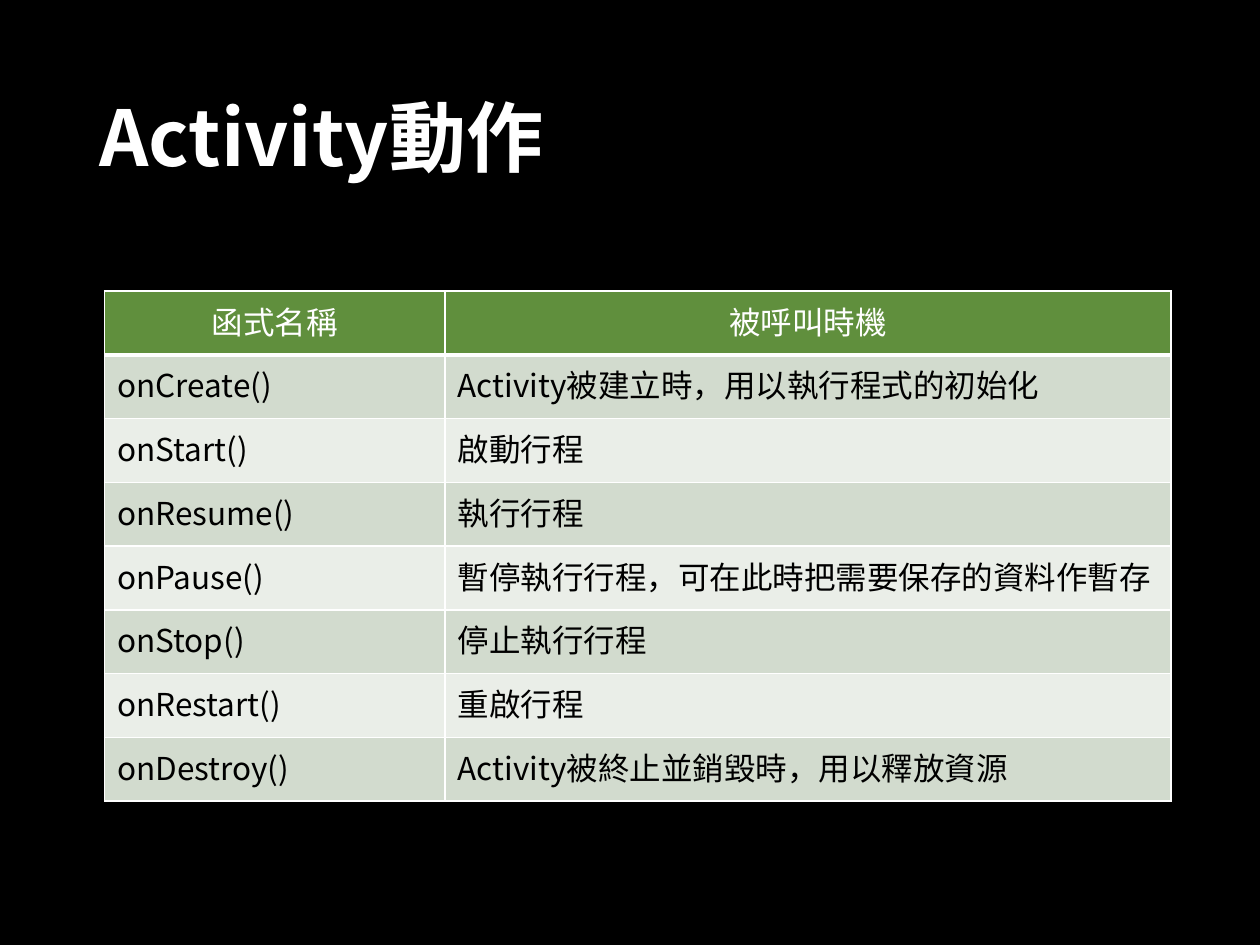
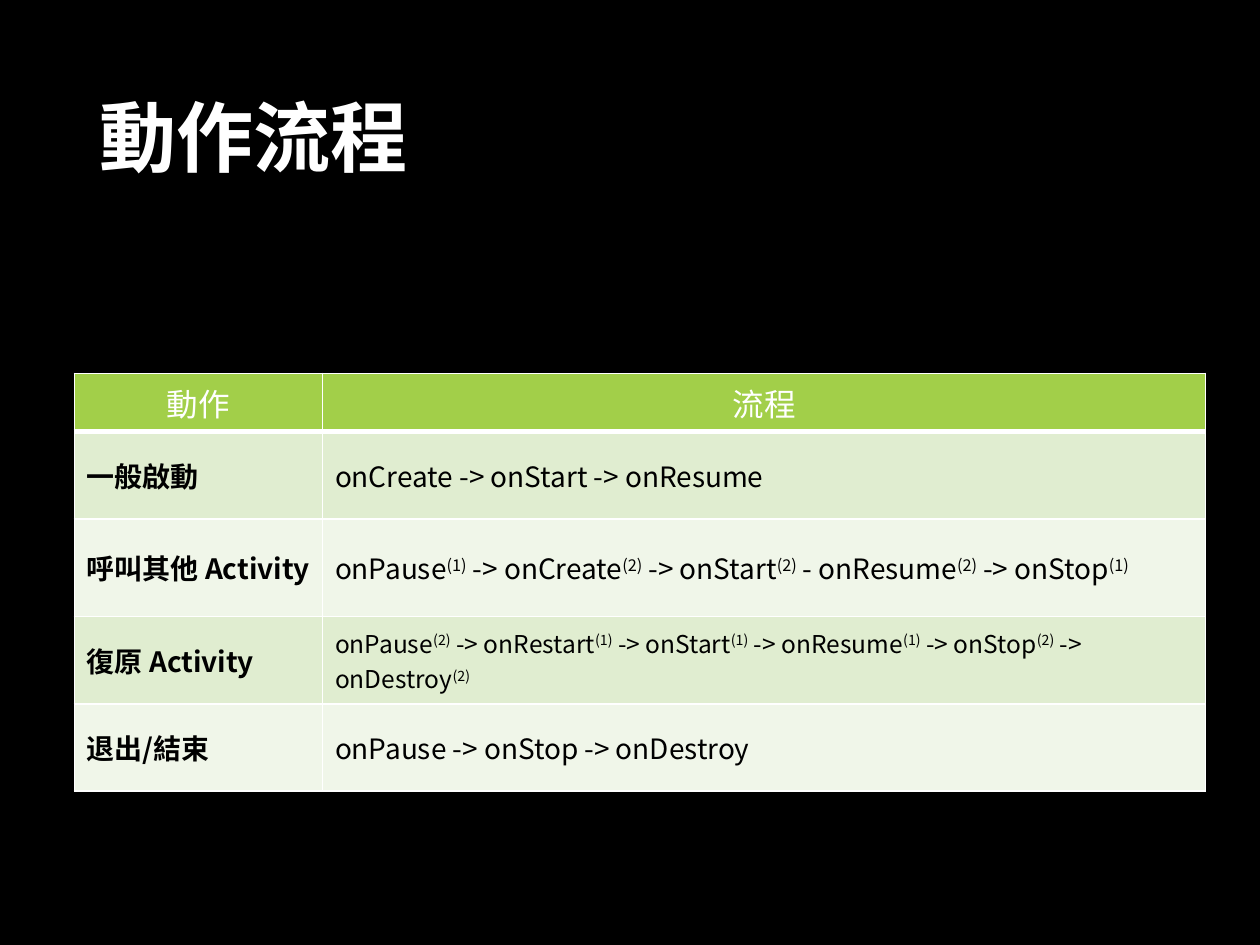
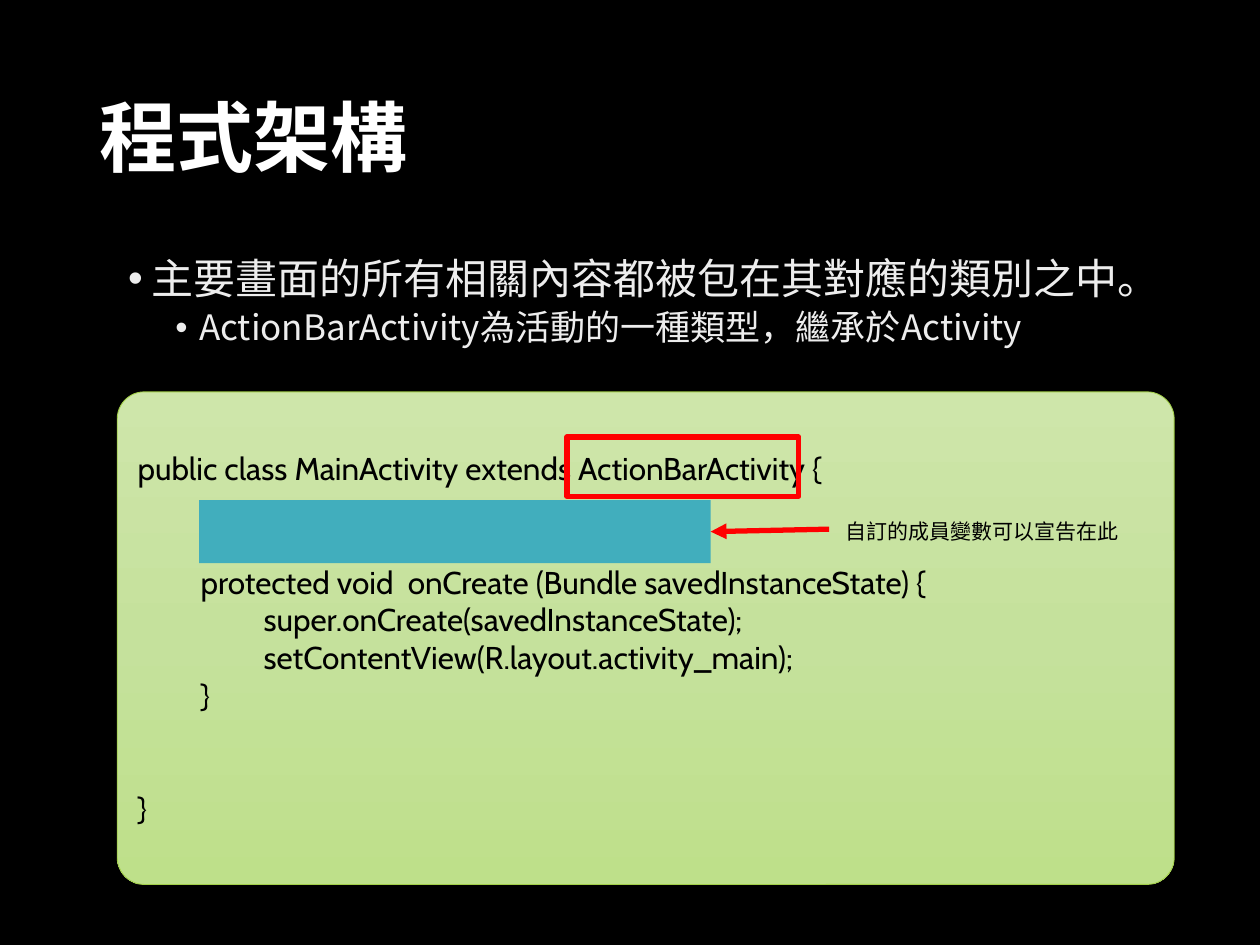
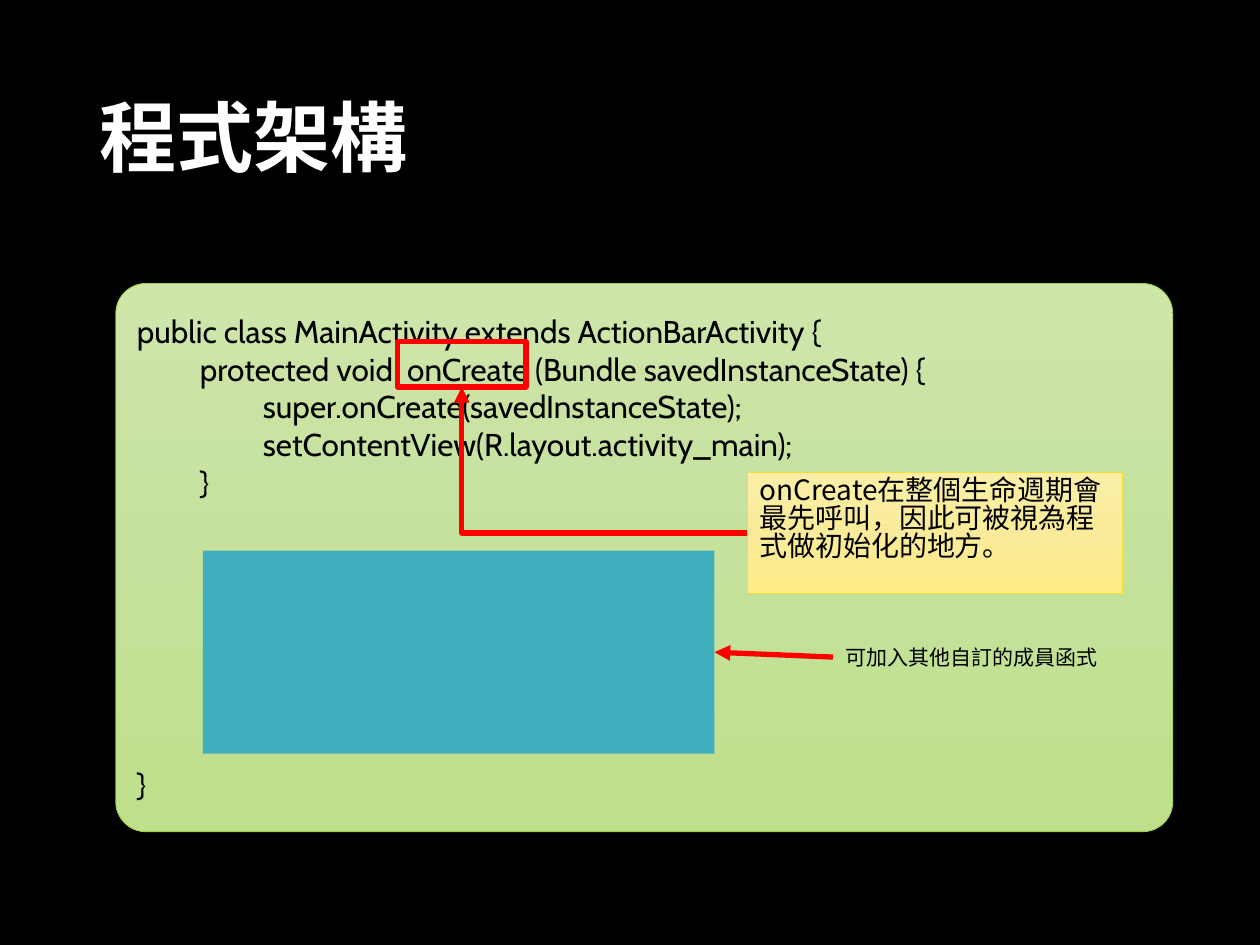
from copy import deepcopy
from dataclasses import dataclass
from typing import NamedTuple

from lxml import etree
from pptx import Presentation
from pptx.dml.color import RGBColor
from pptx.enum.shapes import MSO_CONNECTOR, MSO_SHAPE
from pptx.enum.text import MSO_ANCHOR, PP_ALIGN
from pptx.oxml.ns import qn
from pptx.shapes.autoshape import Shape
from pptx.shapes.connector import Connector
from pptx.slide import Slide
from pptx.text.text import TextFrame, _Paragraph
from pptx.util import Pt

RECTANGLE, ROUNDED = MSO_SHAPE.RECTANGLE, MSO_SHAPE.ROUNDED_RECTANGLE
STRAIGHT, ELBOW = MSO_CONNECTOR.STRAIGHT, MSO_CONNECTOR.ELBOW
TOP, MIDDLE = MSO_ANCHOR.TOP, MSO_ANCHOR.MIDDLE
LEFT, CENTER = PP_ALIGN.LEFT, PP_ALIGN.CENTER
LEFT_SIDE, BOTTOM_SIDE, RIGHT_SIDE = 1, 2, 3

BLACK = RGBColor(0x00, 0x00, 0x00)
WHITE = RGBColor(0xFF, 0xFF, 0xFF)
BODY_GREY = RGBColor(0xED, 0xED, 0xED)
RED = RGBColor(0xFF, 0x00, 0x00)
TEAL = RGBColor(0x41, 0xAE, 0xBD)
LIME = RGBColor(0xA2, 0xCF, 0x49)
LIME_BANDS = (RGBColor(0xE0, 0xED, 0xD0), RGBColor(0xF0, 0xF6, 0xE9))
FOREST = RGBColor(0x60, 0x8F, 0x3D)
FOREST_BANDS = (RGBColor(0xD2, 0xDB, 0xCE), RGBColor(0xEA, 0xEE, 0xE8))
CODE_GRADIENT = (RGBColor(0xCE, 0xE6, 0xAA), RGBColor(0xC5, 0xE1, 0x9C), RGBColor(0xBE, 0xE0, 0x8A))
NOTE_GRADIENT = (RGBColor(0xFB, 0xEF, 0xA7), RGBColor(0xF9, 0xEB, 0x99), RGBColor(0xFD, 0xEB, 0x85))
NOTE_EDGE = RGBColor(0xF4, 0xDE, 0x3A)

CJK_FONT, CODE_FONT = "Noto Sans CJK SC", "Cabin"
CODE_LINE_HEIGHT = 21.6
CODE_TAB = 36


class Box(NamedTuple):
    """Left, top, width and height in points."""
    left: float
    top: float
    width: float
    height: float

    def lengths(self) -> tuple[Pt, ...]:
        return tuple(Pt(value) for value in self)


@dataclass(frozen=True)
class TextStyle:
    size: float
    color: RGBColor = BLACK
    bold: bool = False
    font: str = CJK_FONT


@dataclass(frozen=True)
class TableLook:
    header_fill: RGBColor
    bands: tuple[RGBColor, RGBColor]
    anchor: MSO_ANCHOR = TOP


@dataclass(frozen=True)
class Cell:
    """Text in which ^n stands for a raised (n)."""
    text: str
    style: TextStyle


@dataclass(frozen=True)
class CodeLine:
    text: str
    gap_lines: int = 0


@dataclass(frozen=True)
class Bullet:
    text: str
    level: int
    size: float
    indent: float
    space_before: float = 0


TITLE_BOX = Box(49.7, 28.8, 620.6, 104.4)
TITLE = TextStyle(44, WHITE, True)
HEADER = TextStyle(18, WHITE)
CELL_18, CELL_16, CELL_14 = TextStyle(18), TextStyle(16), TextStyle(14)
ROW_LABEL = TextStyle(16, bold=True)
CODE = TextStyle(18, font=CODE_FONT)
LABEL = TextStyle(12)

CALLBACKS = [
    ("onCreate()", "Activity被建立時，用以執行程式的初始化"),
    ("onStart()", "啟動行程"),
    ("onResume()", "執行行程"),
    ("onPause()", "暫停執行行程，可在此時把需要保存的資料作暫存"),
    ("onStop()", "停止執行行程"),
    ("onRestart()", "重啟行程"),
    ("onDestroy()", "Activity被終止並銷毀時，用以釋放資源"),
]
FLOWS = [
    ("一般啟動", "onCreate -> onStart -> onResume", CELL_16),
    ("呼叫其他 Activity", "onPause^1 -> onCreate^2 -> onStart^2 - onResume^2 -> onStop^1", CELL_16),
    ("復原 Activity",
     "onPause^2 -> onRestart^1 -> onStart^1 -> onResume^1 -> onStop^2 -> onDestroy^2", CELL_14),
    ("退出/結束", "onPause -> onStop -> onDestroy", CELL_16),
]
BULLETS = [
    Bullet("主要畫面的所有相關內容都被包在其對應的類別之中。", 0, 24, 13.5),
    Bullet("ActionBarActivity為活動的一種類型，繼承於Activity", 1, 20, 40.5, 3.8),
]


def style_paragraph(paragraph: _Paragraph, style: TextStyle) -> None:
    font = paragraph.font
    font.size, font.bold, font.name = Pt(style.size), style.bold, style.font
    font.color.rgb = style.color
    defaults = paragraph._p.pPr.find(qn("a:defRPr"))
    etree.SubElement(defaults, qn("a:ea"), typeface=style.font)


def write(frame: TextFrame, text: str, style: TextStyle, anchor: MSO_ANCHOR = MIDDLE,
          line_spacing: float = 1.0) -> None:
    frame.word_wrap, frame.vertical_anchor = True, anchor
    paragraph = frame.paragraphs[0]
    paragraph.text = text
    paragraph.alignment, paragraph.line_spacing = LEFT, line_spacing
    style_paragraph(paragraph, style)


def add_titled_slide(prs: Presentation, title: str) -> Slide:
    slide = prs.slides.add_slide(prs.slide_layouts[5])
    holder = slide.shapes.title
    holder.left, holder.top, holder.width, holder.height = TITLE_BOX.lengths()
    write(holder.text_frame, title, TITLE, line_spacing=0.9)
    return slide


def set_borders(cell, bottom_width: float) -> None:
    properties = cell._tc.get_or_add_tcPr()
    for side, width in (("L", 1), ("R", 1), ("T", 1), ("B", bottom_width)):
        line = etree.SubElement(properties, qn(f"a:ln{side}"), w=str(Pt(width)))
        fill = etree.SubElement(line, qn("a:solidFill"))
        etree.SubElement(fill, qn("a:srgbClr"), val=str(WHITE))


def write_cell(paragraph: _Paragraph, content: Cell) -> None:
    opening, *marked = content.text.split("^")
    paragraph.add_run().text = opening
    for part in marked:
        mark = paragraph.add_run()
        mark.text = f"({part[0]})"
        mark._r.get_or_add_rPr().set("baseline", "30000")
        if part[1:]:
            paragraph.add_run().text = part[1:]
    style_paragraph(paragraph, content.style)


def add_banded_table(slide: Slide, left: float, top: float, widths: list[float], heights: list[float],
                     rows: list[list[Cell]], look: TableLook) -> None:
    box = Box(left, top, sum(widths), sum(heights))
    table = slide.shapes.add_table(len(rows), len(widths), *box.lengths()).table
    table.horz_banding = False
    for column, width in zip(table.columns, widths):
        column.width = Pt(width)
    for index, (row, height, contents) in enumerate(zip(table.rows, heights, rows)):
        row.height = Pt(height)
        is_header = index == 0
        for cell, content in zip(row.cells, contents):
            set_borders(cell, 3 if is_header else 1)
            cell.fill.solid()
            cell.fill.fore_color.rgb = look.header_fill if is_header else look.bands[(index - 1) % 2]
            cell.vertical_anchor = TOP if is_header else look.anchor
            paragraph = cell.text_frame.paragraphs[0]
            paragraph.alignment = CENTER if is_header else LEFT
            write_cell(paragraph, content)


def add_plain_shape(shapes, kind: MSO_SHAPE, box: Box) -> Shape:
    shape = shapes.add_shape(kind, *box.lengths())
    shape.shadow.inherit = False
    return shape


def fill_gradient(shape: Shape, colors: tuple[RGBColor, ...], edge: RGBColor) -> None:
    """Fill from top to bottom with three even stops, and draw a thin edge."""
    shape.fill.gradient()
    shape.fill.gradient_angle = 270
    stop_list = shape._element.spPr.find(".//" + qn("a:gsLst"))
    stop_list.insert(1, deepcopy(stop_list[0]))
    for index, (stop, color) in enumerate(zip(shape.fill.gradient_stops, colors)):
        stop.color.rgb, stop.position = color, index / 2
    shape.line.color.rgb, shape.line.width = edge, Pt(0.5)


def add_code_panel(shapes, box: Box, lines: list[CodeLine]) -> None:
    panel = add_plain_shape(shapes, ROUNDED, box)
    panel.adjustments[0] = 0.055
    fill_gradient(panel, CODE_GRADIENT, LIME)
    frame = panel.text_frame
    frame.word_wrap, frame.vertical_anchor = True, MIDDLE
    for index, line in enumerate(lines):
        paragraph = frame.add_paragraph() if index else frame.paragraphs[0]
        paragraph.text, paragraph.alignment = line.text, LEFT
        if line.gap_lines:
            paragraph.space_before = Pt(line.gap_lines * CODE_LINE_HEIGHT)
        tabs = etree.SubElement(paragraph._p.get_or_add_pPr(), qn("a:tabLst"))
        for stop in (1, 2):
            etree.SubElement(tabs, qn("a:tab"), pos=str(Pt(stop * CODE_TAB)), algn="l")
        style_paragraph(paragraph, CODE)


def add_member_area(shapes, box: Box) -> Shape:
    area = add_plain_shape(shapes, RECTANGLE, box)
    area.fill.solid()
    area.fill.fore_color.rgb = TEAL
    area.line.fill.background()
    return area


def add_highlight(shapes, box: Box) -> Shape:
    highlight = add_plain_shape(shapes, RECTANGLE, box)
    highlight.fill.background()
    highlight.line.color.rgb, highlight.line.width = RED, Pt(3)
    return highlight


def add_label(shapes, box: Box, text: str) -> Shape:
    label = shapes.add_textbox(*box.lengths())
    write(label.text_frame, text, LABEL)
    return label


def add_arrow(shapes, kind: MSO_CONNECTOR, start: tuple[float, float], target: Shape, side: int) -> Connector:
    """Draw a red arrow from a point to the middle of one side of the target."""
    x, y = (Pt(value) for value in start)
    arrow = shapes.add_connector(kind, x, y, x, y)
    arrow.end_connect(target, side)
    arrow.line.color.rgb, arrow.line.width = RED, Pt(3)
    etree.SubElement(arrow.line._get_or_add_ln(), qn("a:tailEnd"), type="triangle")
    etree.SubElement(arrow._element.spPr, qn("a:effectLst"))
    return arrow


def turn_once(arrow: Connector) -> None:
    """Give an elbow that runs left and then up a single corner."""
    properties = arrow._element.spPr
    properties.find(qn("a:prstGeom")).set("prst", "bentConnector2")
    frame = properties.find(qn("a:xfrm"))
    for flip in ("flipH", "flipV"):
        frame.attrib.pop(flip, None)
    frame.set("rot", "10800000")


def add_bullets(slide: Slide, box: Box, bullets: list[Bullet]) -> None:
    frame = slide.shapes.add_textbox(*box.lengths()).text_frame
    frame.word_wrap = True
    for index, bullet in enumerate(bullets):
        paragraph = frame.add_paragraph() if index else frame.paragraphs[0]
        paragraph.text, paragraph.level = bullet.text, bullet.level
        paragraph.line_spacing = 0.9
        if bullet.space_before:
            paragraph.space_before = Pt(bullet.space_before)
        properties = paragraph._p.get_or_add_pPr()
        properties.set("marL", str(Pt(bullet.indent)))
        properties.set("indent", str(Pt(-13.5)))
        etree.SubElement(properties, qn("a:buFont"), typeface="Arial")
        etree.SubElement(properties, qn("a:buChar"), char="•")
        style_paragraph(paragraph, TextStyle(bullet.size, BODY_GREY))


def code_lines(gap_after_class: int, gap_before_end: int) -> list[CodeLine]:
    return [
        CodeLine("public class MainActivity extends ActionBarActivity {"),
        CodeLine("\tprotected void  onCreate (Bundle savedInstanceState) {", gap_after_class),
        CodeLine("\t\tsuper.onCreate(savedInstanceState);"),
        CodeLine("\t\tsetContentView(R.layout.activity_main);"),
        CodeLine("\t}"),
        CodeLine("}", gap_before_end),
    ]


def build_callbacks(prs: Presentation) -> None:
    slide = add_titled_slide(prs, "Activity動作")
    rows = [[Cell("函式名稱", HEADER), Cell("被呼叫時機", HEADER)]]
    rows += [[Cell(text, CELL_18) for text in texts] for texts in CALLBACKS]
    add_banded_table(slide, 59.8, 166.4, [194.6, 414.8], [36.45] * len(rows), rows,
                     TableLook(FOREST, FOREST_BANDS))


def build_flows(prs: Presentation) -> None:
    slide = add_titled_slide(prs, "動作流程")
    rows = [[Cell("動作", HEADER), Cell("流程", HEADER)]]
    rows += [[Cell(action, ROW_LABEL), Cell(flow, style)] for action, flow, style in FLOWS]
    add_banded_table(slide, 42.5, 213.4, [141.8, 504.7], [31, 49.8, 56, 49.8, 49.8], rows,
                     TableLook(LIME, LIME_BANDS, MIDDLE))


def build_variables(prs: Presentation) -> None:
    slide = add_titled_slide(prs, "程式架構")
    add_bullets(slide, Box(66.2, 144, 604, 70), BULLETS)
    diagram = slide.shapes.add_group_shape().shapes
    add_code_panel(diagram, Box(67, 223.9, 604, 281.5), code_lines(2, 2))
    variables = add_member_area(diagram, Box(113.8, 285.8, 292.3, 36))
    add_label(diagram, Box(476, 285.8, 178.6, 36), "自訂的成員變數可以宣告在此")
    add_arrow(diagram, STRAIGHT, (473.8, 302.4), variables, RIGHT_SIDE)
    add_highlight(diagram, Box(324, 249.8, 132.5, 33.8))


def build_functions(prs: Presentation) -> None:
    slide = add_titled_slide(prs, "程式架構")
    shapes = slide.shapes
    add_code_panel(shapes, Box(66.2, 162, 604, 313.2), code_lines(0, 7))
    functions = add_member_area(shapes, Box(116, 314.7, 292.3, 116))
    label = add_label(shapes, Box(476, 350, 178.6, 51), "可加入其他自訂的成員函式")
    add_arrow(shapes, STRAIGHT, (476, 375.5), functions, RIGHT_SIDE).begin_connect(label, LEFT_SIDE)
    highlight = add_highlight(shapes, Box(227.2, 195.1, 73.4, 26))
    note = add_plain_shape(shapes, RECTANGLE, Box(427, 270, 214.6, 69))
    fill_gradient(note, NOTE_GRADIENT, NOTE_EDGE)
    write(note.text_frame, "onCreate在整個生命週期會最先呼叫，因此可被視為程式做初始化的地方。",
          CELL_16, TOP, 0.83)
    elbow = add_arrow(shapes, ELBOW, (427, 304.5), highlight, BOTTOM_SIDE)
    elbow.begin_connect(note, LEFT_SIDE)
    turn_once(elbow)


def main() -> None:
    prs = Presentation()
    prs.slide_width, prs.slide_height = Pt(720), Pt(540)
    background = prs.slide_master.background.fill
    background.solid()
    background.fore_color.rgb = BLACK
    for build in (build_callbacks, build_flows, build_variables, build_functions):
        build(prs)
    prs.save("out.pptx")


if __name__ == "__main__":
    main()
